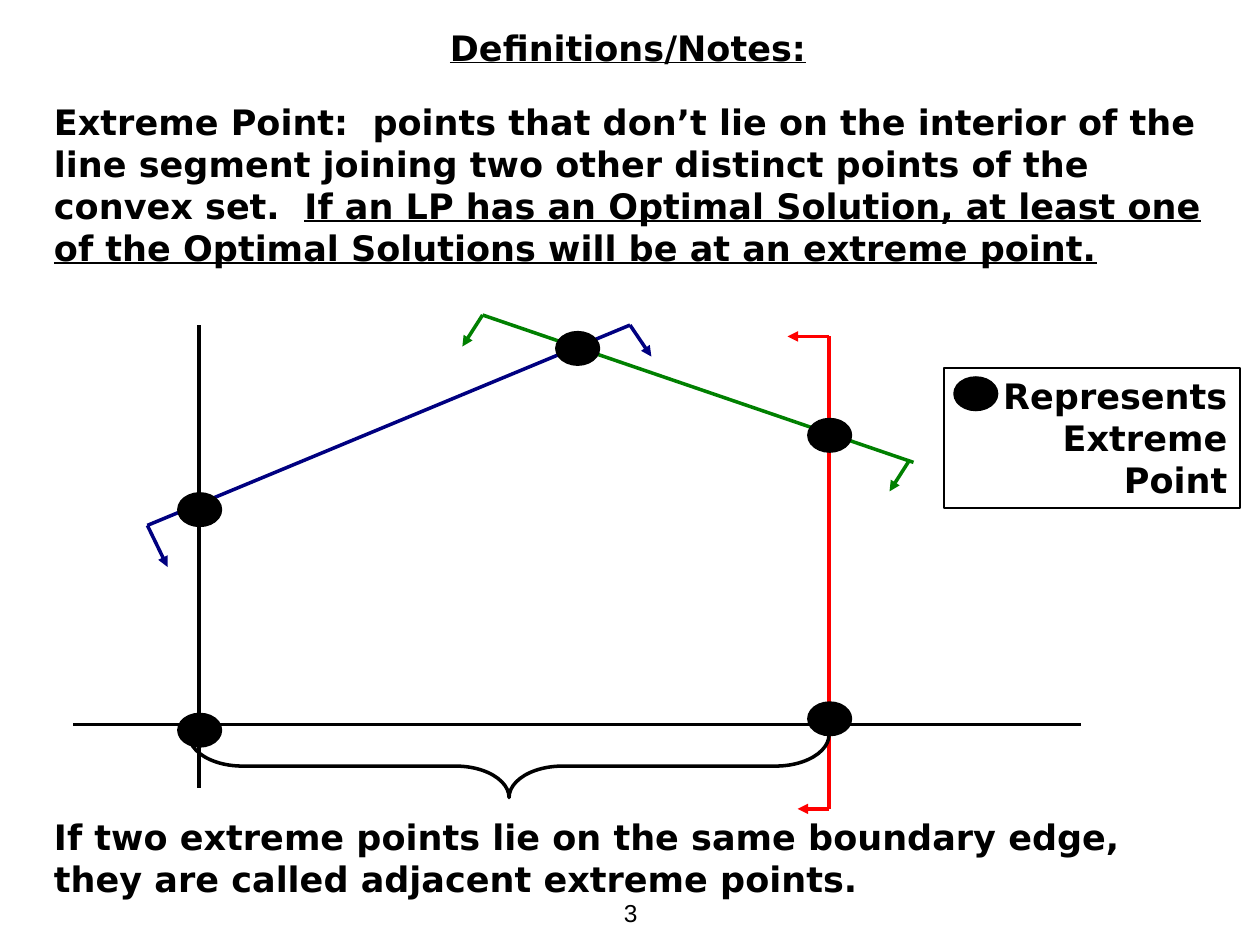
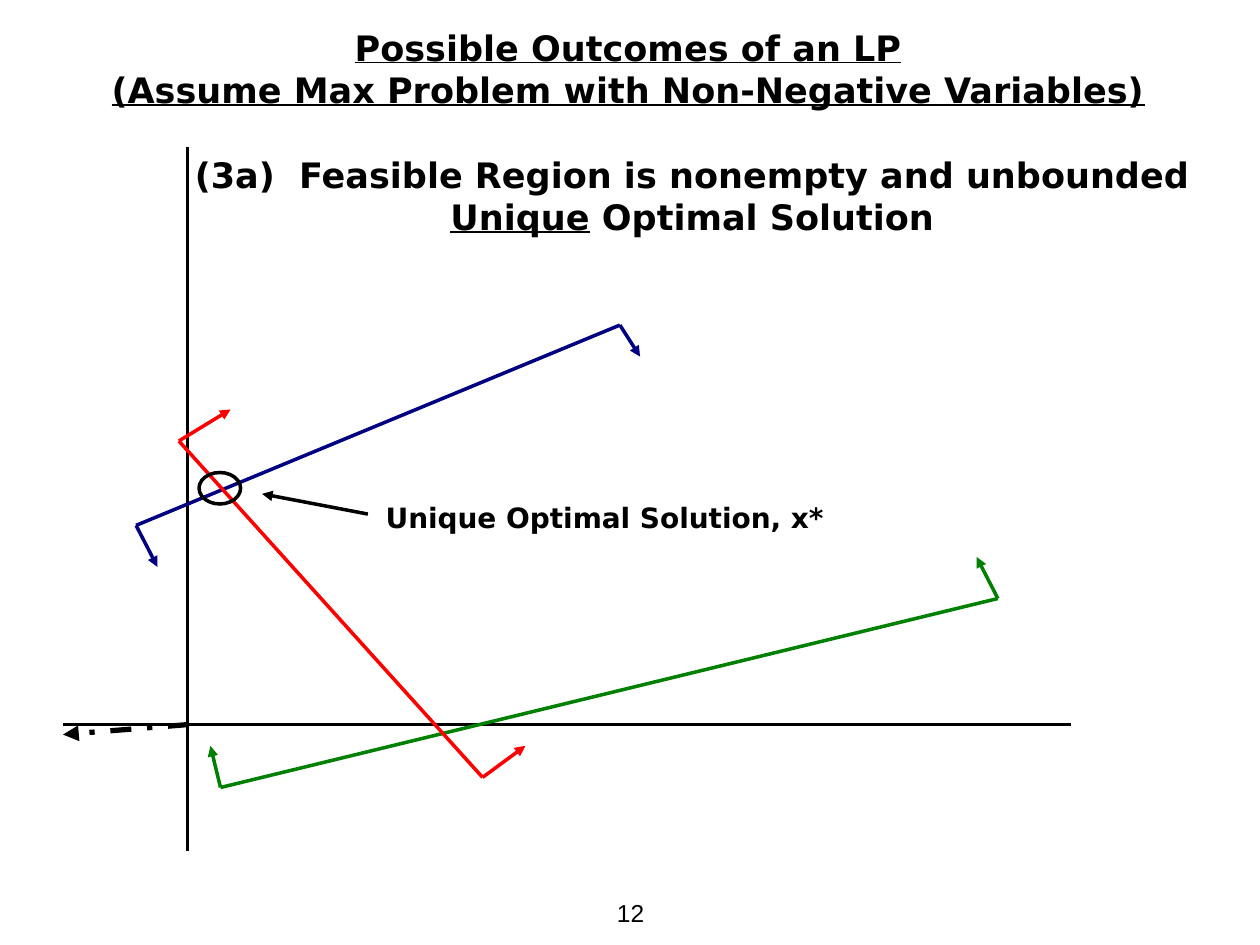
from lxml.etree import SubElement
from pptx import Presentation
from pptx.dml.color import RGBColor
from pptx.enum.dml import MSO_LINE
from pptx.enum.shapes import MSO_CONNECTOR, MSO_SHAPE
from pptx.enum.text import PP_ALIGN
from pptx.oxml.ns import qn
from pptx.util import Inches, Pt

BLACK, NAVY, GREEN, RED = "000000", "000080", "008000", "FF0000"
BODY, FOOT = "DejaVu Sans", "Arial"
LEFT, MID, RIGHT = PP_ALIGN.LEFT, PP_ALIGN.CENTER, PP_ALIGN.RIGHT


def color(code):
    return RGBColor.from_string(code)


def write(shape, lines, align=LEFT, size=20, font=BODY, bold=True):
    frame = shape.text_frame
    frame.word_wrap = True
    para = frame.paragraphs[0]
    para.alignment = align
    for row, runs in enumerate(lines):
        if row:
            para.add_line_break()
        for words, under in runs:
            run = para.add_run()
            run.text = words
            run.font.name = font
            run.font.size = Pt(size)
            run.font.bold = bold
            run.font.underline = under
            run.font.color.rgb = color(BLACK)


def text(slide, box, lines, **style):
    write(slide.shapes.add_textbox(*map(Inches, box)), lines, **style)


def shape(slide, kind, box, fill=None, width=2):
    item = slide.shapes.add_shape(kind, *map(Inches, box))
    item.shadow.inherit = False
    if fill:
        item.fill.solid()
        item.fill.fore_color.rgb = color(fill)
    else:
        item.fill.background()
    item.line.color.rgb = color(BLACK)
    item.line.width = Pt(width)
    return item


def dot(slide, left, top, fill=BLACK):
    shape(slide, MSO_SHAPE.OVAL, (left, top, 0.33, 0.25), fill)


def line(slide, start, end, code=BLACK, width=2, arrow=False, dash=None):
    item = slide.shapes.add_connector(
        MSO_CONNECTOR.STRAIGHT, *map(Inches, (*start, *end)))
    item.line.color.rgb = color(code)
    item.line.width = Pt(width)
    if dash:
        item.line.dash_style = dash
    if arrow:
        SubElement(item.line._get_or_add_ln(), qn("a:tailEnd"), type="triangle")
    SubElement(item._element.spPr, qn("a:effectLst"))


def bound(slide, code, start, end, tips, foot=None):
    line(slide, start, end, code)
    for base, tip in zip((start, foot or end), tips):
        line(slide, base, tip, code, arrow=True)


def axes(slide, left, cross, top, bottom):
    line(slide, (cross, top), (cross, bottom))
    line(slide, (left, 5.75), (left + 8, 5.75))


def start(deck, title, number):
    slide = deck.slides.add_slide(deck.slide_layouts[6])
    text(slide, (3.42, 7.08, 3.17, 0.27), [[(number, False)]],
         align=MID, size=14, font=FOOT, bold=False)
    text(slide, (0.15, 0.16, 9.67, 0.1 + 0.33 * len(title)),
         [[(row, True)] for row in title], align=MID)
    return slide


def extremes(deck):
    slide = start(deck, ["Definitions/Notes:"], "3")
    legend = shape(slide, MSO_SHAPE.RECTANGLE, (7.49, 2.92, 2.35, 1.11), width=1)
    write(legend, [[(word, False)] for word in ("Represents", "Extreme", "Point")],
          align=RIGHT)
    text(slide, (0.33, 0.75, 9.42, 1.43), [[
        ("Extreme Point:  points that don’t lie on the interior of the line segment "
         "joining two other distinct points of the convex set.  ", False),
        ("If an LP has an Optimal Solution, at least one of the Optimal Solutions "
         "will be at an extreme point.", True)]])
    axes(slide, 0.58, 1.58, 2.58, 6.25)
    bound(slide, NAVY, (1.17, 4.17), (5, 2.58), [(1.33, 4.5), (5.17, 2.83)])
    bound(slide, GREEN, (3.83, 2.5), (7.25, 3.67), [(3.67, 2.75), (7.06, 3.9)],
          foot=(7.22, 3.65))
    bound(slide, RED, (6.58, 2.67), (6.58, 6.42), [(6.25, 2.67), (6.33, 6.42)])
    for spot in ((4.42, 2.64), (6.42, 3.33), (6.42, 5.58),
                 (1.42, 5.67), (1.42, 3.92), (7.58, 3)):
        dot(slide, *spot)
    text(slide, (0.33, 6.42, 9.42, 0.77), [[
        ("If two extreme points lie on the same boundary edge, "
         "they are called adjacent extreme points.", False)]])
    brace = shape(slide, MSO_SHAPE.LEFT_BRACE, (3.79, 3.54, 0.5, 5.08))
    brace.rotation = 270
    brace.adjustments[0] = 0.85
    brace.adjustments[1] = 0.5


def outcomes(deck):
    slide = start(deck, ["Possible Outcomes of an LP",
                         "(Assume Max Problem with Non-Negative Variables)"], "12")
    axes(slide, 0.5, 1.49, 1.17, 6.75)
    bound(slide, NAVY, (1.08, 4.17), (4.92, 2.58), [(1.25, 4.5), (5.08, 2.83)])
    bound(slide, GREEN, (1.75, 6.25), (7.92, 4.75), [(1.67, 5.92), (7.75, 4.42)])
    text(slide, (1.33, 1.17, 8.33, 0.77), [
        [("(3a)  Feasible Region is nonempty and unbounded", False)],
        [("Unique", True), (" Optimal Solution", False)]], align=MID)
    line(slide, (1.5, 5.75), (0.5, 5.83), width=3, arrow=True,
         dash=MSO_LINE.DASH_DOT)
    bound(slide, RED, (1.42, 3.5), (3.83, 6.17), [(1.83, 3.25), (4.17, 5.92)])
    dot(slide, 1.58, 3.75, fill=None)
    line(slide, (2.92, 4.08), (2.08, 3.92), arrow=True)
    text(slide, (0.85, 3.92, 7.9, 0.37), [[("Unique Optimal Solution, x*", False)]],
         align=MID, size=16)


def main():
    deck = Presentation()
    deck.slide_width = Inches(10)
    deck.slide_height = Inches(7.5)
    extremes(deck)
    outcomes(deck)
    deck.save("out.pptx")


if __name__ == "__main__":
    main()
